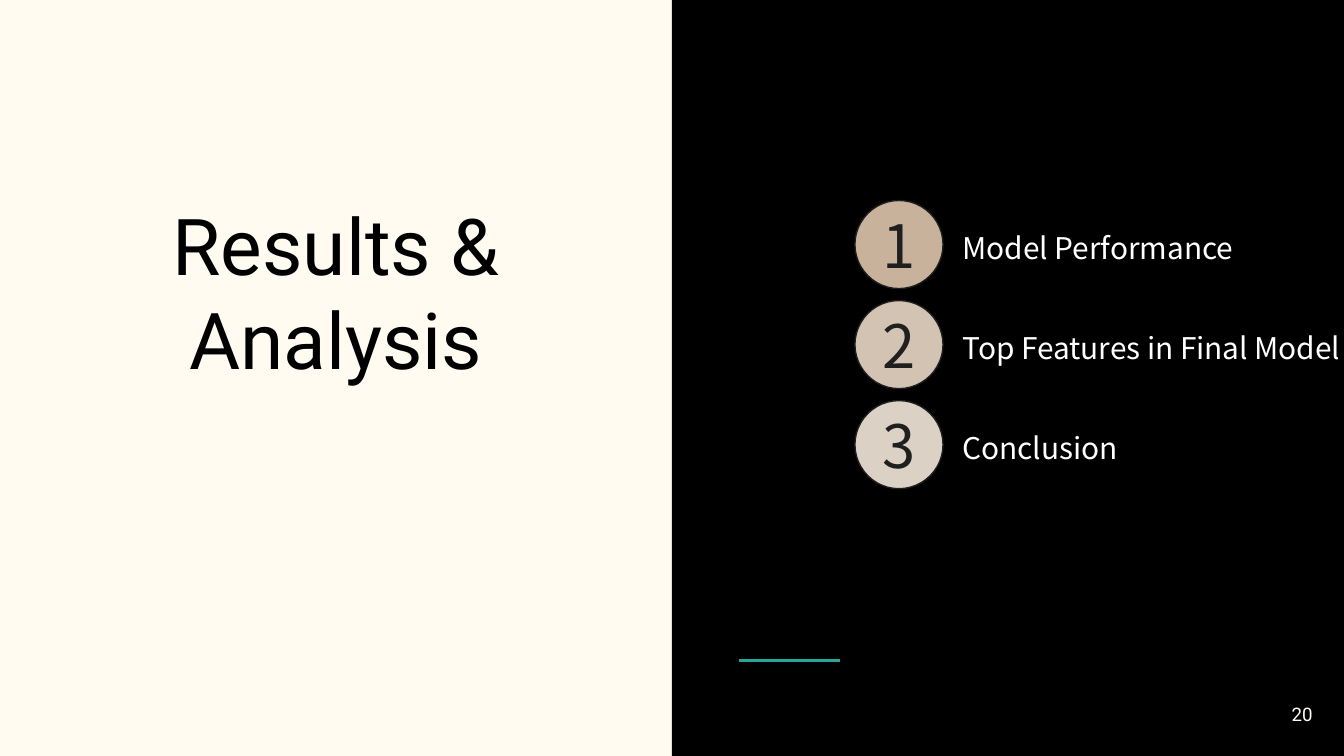
from lxml import etree
from pptx import Presentation
from pptx.dml.color import RGBColor
from pptx.enum import shapes, text
from pptx.oxml.ns import qn
from pptx.util import Pt

TITLE = "Results & Analysis"
PAGE_NUMBER = "20"
AGENDA = [
    ("1", "Model Performance", "tan"),
    ("2", "Top Features in Final Model", "sand"),
    ("3", "Conclusion", "linen"),
]
COLORS = {
    "cream": "FFFBF0", "black": "000000", "white": "FFFFFF", "teal": "26A69A",
    "ink": "1F1F1F", "tan": "C9B29B", "sand": "D3C3B2", "linen": "DCD1C5",
}
HEADING_FONT, AGENDA_FONT = "Roboto", "Noto Sans CJK JP"
WIDTH, HEIGHT = 720, 405
BADGE_LEFT, LABEL_LEFT = 458, 515.6
AGENDA_TOP, AGENDA_STEP, BADGE_SIZE = 107.4, 53.6, 47.2


def color(name):
    return RGBColor.from_string(COLORS[name])


def write(shape, words, size, font, ink, align, inset=7.2,
          anchor=text.MSO_ANCHOR.MIDDLE, spacing=None):
    frame = shape.text_frame
    frame.word_wrap = True
    frame.auto_size = text.MSO_AUTO_SIZE.NONE
    frame.vertical_anchor = anchor
    frame.margin_left = frame.margin_right = Pt(inset)
    frame.margin_top = frame.margin_bottom = Pt(inset)
    paragraph = frame.paragraphs[0]
    paragraph.alignment = align
    if spacing:
        paragraph.line_spacing = spacing
    run = paragraph.add_run()
    run.text = words
    run.font.size = Pt(size)
    run.font.name = font
    run.font.color.rgb = color(ink)


def box(left, top, width, height):
    return [Pt(length) for length in (left, top, width, height)]


def add_filled(slide, kind, fill, *bounds):
    shape = slide.shapes.add_shape(kind, *box(*bounds))
    shape.shadow.inherit = False
    shape.fill.solid()
    shape.fill.fore_color.rgb = color(fill)
    return shape


def main():
    deck = Presentation()
    deck.slide_width, deck.slide_height = Pt(WIDTH), Pt(HEIGHT)
    slide = deck.slides.add_slide(deck.slide_layouts[5])
    slide.background.fill.solid()
    slide.background.fill.fore_color.rgb = color("cream")

    panel = add_filled(slide, shapes.MSO_SHAPE.RECTANGLE, "black",
                       WIDTH / 2, 0, WIDTH / 2, HEIGHT)
    panel.line.fill.background()

    accent = slide.shapes.add_connector(
        shapes.MSO_CONNECTOR.STRAIGHT, Pt(396), Pt(354), Pt(450), Pt(354))
    accent.line.color.rgb = color("teal")
    accent.line.width = Pt(1.5)
    etree.SubElement(accent._element.spPr, qn("a:effectLst"))

    title = slide.shapes.title
    title.left, title.top, title.width, title.height = box(20.9, 108.7, 318.2, 105.1)
    write(title, TITLE, 42, HEADING_FONT, "black", text.PP_ALIGN.CENTER,
          anchor=text.MSO_ANCHOR.BOTTOM)

    for row, (number, label, fill) in enumerate(AGENDA):
        top = AGENDA_TOP + row * AGENDA_STEP
        badge = add_filled(slide, shapes.MSO_SHAPE.OVAL, fill,
                           BADGE_LEFT, top, BADGE_SIZE, BADGE_SIZE)
        badge.line.color.rgb = color("ink")
        badge.line.width = Pt(0.75)
        write(badge, number, 32, AGENDA_FONT, "ink", text.PP_ALIGN.CENTER)
        entry = slide.shapes.add_textbox(
            *box(LABEL_LEFT, top, WIDTH - LABEL_LEFT, BADGE_SIZE))
        write(entry, label, 16, AGENDA_FONT, "white", text.PP_ALIGN.LEFT,
              inset=0, spacing=1.15)

    page = slide.shapes.add_textbox(*box(667.1, 367.2, 43.2, 31))
    write(page, PAGE_NUMBER, 10, HEADING_FONT, "cream", text.PP_ALIGN.RIGHT)

    deck.save("out.pptx")


if __name__ == "__main__":
    main()
